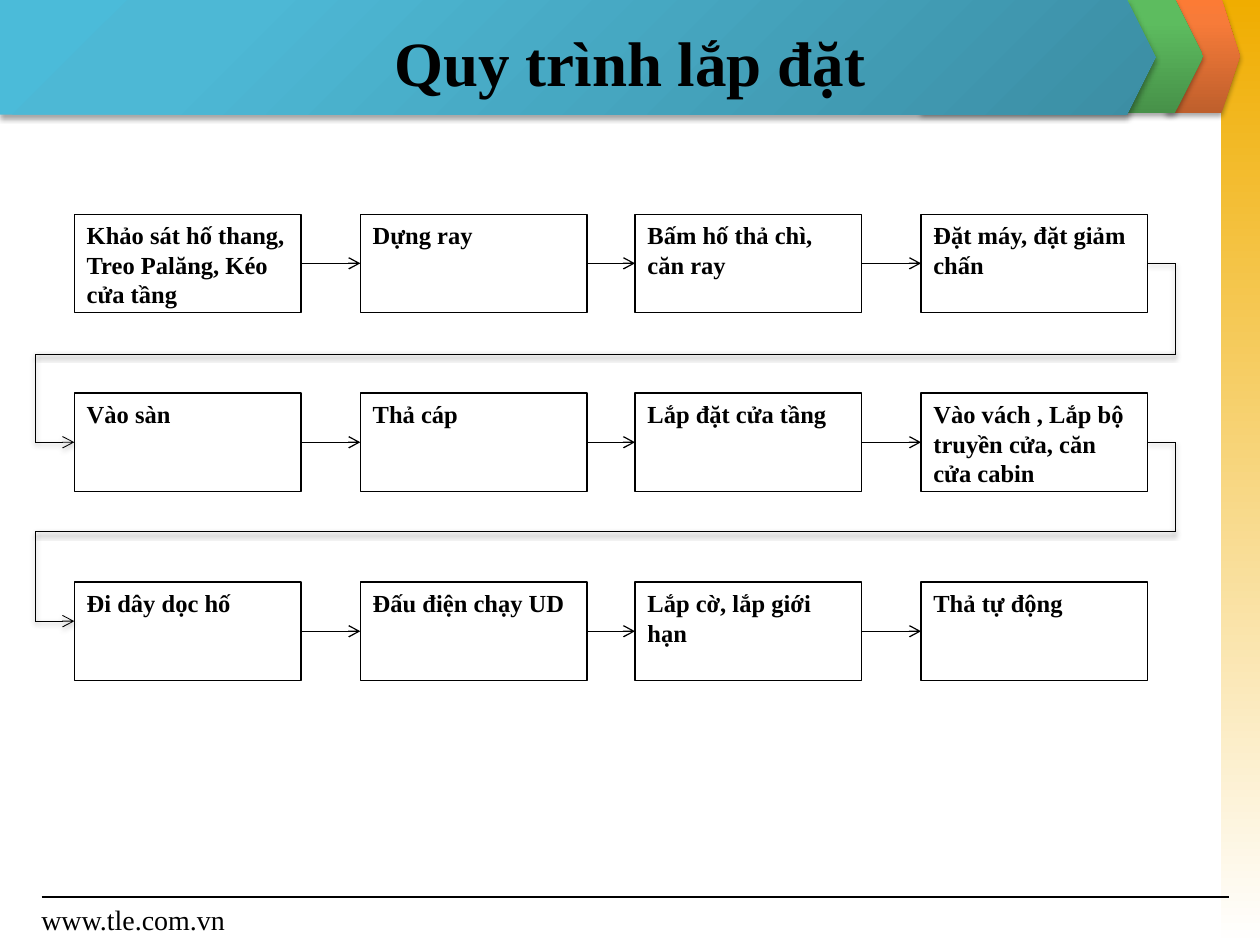
import itertools
from dataclasses import dataclass

import lxml.etree
import pptx
import pptx.dml.color
import pptx.enum.shapes
import pptx.enum.text
import pptx.oxml
import pptx.oxml.ns
import pptx.util

Inches = pptx.util.Inches
Preset = pptx.enum.shapes.MSO_SHAPE
Align = pptx.enum.text.PP_ALIGN
Anchor = pptx.enum.text.MSO_ANCHOR
qn = pptx.oxml.ns.qn


@dataclass(frozen=True)
class Theme:
    font: str = "Times New Roman"
    ink: str = "000000"
    title_size: int = 36
    footer_size: int = 16
    step_size: int = 14
    line: float = 0.75
    thin_line: float = 0.5
    gold: tuple = ((0, "F0AD00"), (100, "FFFFFF"))
    orange: tuple = ((0, "BE5F2C"), (80, "F77B39"), (100, "FC7B35"))
    green: tuple = ((0, "479149"), (80, "5DBC5F"), (100, "5BBF5E"))
    blue: tuple = ((0, "3C8EA4"), (80, "4DB8D5"), (100, "4BBBD9"))
    banner_shadow: tuple = (35, 3.1, 1.8)
    return_shadow: tuple = (38, 3.1, 1.6)


THEME = Theme()
STEPS = (
    ("Khảo sát hố thang, Treo Palăng, Kéo cửa tầng", "Dựng ray",
     "Bấm hố thả chì, căn ray", "Đặt máy, đặt giảm chấn"),
    ("Vào sàn", "Thả cáp", "Lắp đặt cửa tầng",
     "Vào vách , Lắp bộ truyền cửa, căn cửa cabin"),
    ("Đi dây dọc hố", "Đấu điện chạy UD", "Lắp cờ, lắp giới hạn", "Thả tự động"),
)
COLUMNS = (0.59, 2.86, 5.04, 7.31)
ROWS = (1.7, 3.12, 4.62)
BOX_WIDTH, BOX_HEIGHT = 1.8, 0.78
LEFT_LANE, RIGHT_LANE = 0.28, 9.33
RETURNS = ((2.81, 3.51), (4.22, 4.93))
LEFT_SIDE, RIGHT_SIDE = 1, 3


def write(frame, text, size, bold=False, align=Align.LEFT, anchor=Anchor.TOP):
    frame.word_wrap = True
    frame.vertical_anchor = anchor
    para = frame.paragraphs[0]
    para.alignment = align
    span = para.add_run()
    span.text = text
    span.font.name = THEME.font
    span.font.size = pptx.util.Pt(size)
    span.font.bold = bold
    span.font.color.rgb = pptx.dml.color.RGBColor.from_string(THEME.ink)


class Painter:
    def __init__(self, theme, page):
        self.theme = theme
        self.page = page

    def stroke(self, line, width):
        line.color.rgb = pptx.dml.color.RGBColor.from_string(self.theme.ink)
        line.width = pptx.util.Pt(width)

    def shadow(self, effects, opacity, blur, distance):
        outer = lxml.etree.SubElement(
            effects, qn("a:outerShdw"), blurRad=str(pptx.util.Pt(blur)),
            dist=str(pptx.util.Pt(distance)), dir="5400000", rotWithShape="0")
        color = lxml.etree.SubElement(outer, qn("a:srgbClr"), val=self.theme.ink)
        lxml.etree.SubElement(color, qn("a:alpha"), val=str(opacity * 1000))

    def gradient(self, shape, stops, angle):
        shape.fill.background()
        properties = shape._element.spPr
        fill = lxml.etree.Element(qn("a:gradFill"), rotWithShape="1")
        stop_list = lxml.etree.SubElement(fill, qn("a:gsLst"))
        for position, color in stops:
            stop = lxml.etree.SubElement(stop_list, qn("a:gs"), pos=str(position * 1000))
            lxml.etree.SubElement(stop, qn("a:srgbClr"), val=color)
        if angle is None:
            radial = lxml.etree.SubElement(fill, qn("a:path"), {"path": "circle"})
            lxml.etree.SubElement(radial, qn("a:fillToRect"), l="100000", t="100000")
        else:
            lxml.etree.SubElement(fill, qn("a:lin"), ang=str(angle * 60000), scaled="0")
        properties.replace(properties.find(qn("a:noFill")), fill)

    def band(self, preset, place, stops, angle=None, shadow=None):
        shape = self.page.shapes.add_shape(preset, *map(Inches, place))
        if preset == Preset.PENTAGON:
            shape.adjustments[0] = 0.25
        shape.line.fill.background()
        shape.shadow.inherit = False
        self.gradient(shape, stops, angle)
        if shadow:
            self.shadow(shape._element.spPr.find(qn("a:effectLst")), *shadow)

    def title(self, text, place):
        title = self.page.shapes.title
        title.left, title.top, title.width, title.height = map(Inches, place)
        self.page.shapes._spTree.append(title._element)
        write(title.text_frame, text, self.theme.title_size, bold=True,
              align=Align.CENTER, anchor=Anchor.MIDDLE)

    def footer(self, text, place):
        box = self.page.shapes.add_textbox(*map(Inches, place))
        box.text_frame.margin_top = Inches(0.13)
        write(box.text_frame, text, self.theme.footer_size)

    def step(self, text, left, top):
        box = self.page.shapes.add_shape(
            Preset.RECTANGLE, *map(Inches, (left, top, BOX_WIDTH, BOX_HEIGHT)))
        box.fill.background()
        box.shadow.inherit = False
        self.stroke(box.line, self.theme.line)
        write(box.text_frame, text, self.theme.step_size, bold=True)
        return box

    def line(self, start, end, width, arrow=False, shadow=None, source=None, target=None):
        link = self.page.shapes.add_connector(
            pptx.enum.shapes.MSO_CONNECTOR.STRAIGHT, *map(Inches, (*start, *end)))
        if source is not None:
            link.begin_connect(source, RIGHT_SIDE)
        if target is not None:
            link.end_connect(target, LEFT_SIDE)
        self.stroke(link.line, width)
        properties = link._element.spPr
        if arrow:
            lxml.etree.SubElement(properties.find(qn("a:ln")), qn("a:tailEnd"), type="arrow")
        effects = lxml.etree.SubElement(properties, qn("a:effectLst"))
        if shadow:
            self.shadow(effects, *shadow)

    def return_path(self, source, target, start_y, lane_y, end_y, joined):
        points = ((COLUMNS[-1] + BOX_WIDTH, start_y), (RIGHT_LANE, start_y),
                  (RIGHT_LANE, lane_y), (LEFT_LANE, lane_y),
                  (LEFT_LANE, end_y), (COLUMNS[0], end_y))
        last = len(points) - 2
        for index, (start, end) in enumerate(itertools.pairwise(points)):
            self.line(start, end, self.theme.thin_line, arrow=index == last,
                      shadow=self.theme.return_shadow,
                      source=source if index == 0 else None,
                      target=target if joined and index == last else None)


def main():
    deck = pptx.Presentation()
    deck.slide_width, deck.slide_height = Inches(10), Inches(7.5)
    page = deck.slides.add_slide(deck.slide_layouts[5])
    painter = Painter(THEME, page)

    painter.band(Preset.RECTANGLE, (9.69, 0, 0.31, 7.5), THEME.gold, 90)
    painter.band(Preset.PENTAGON, (9.25, -0.01, 0.59, 0.91), THEME.orange, 270,
                 THEME.banner_shadow)
    painter.band(Preset.PENTAGON, (7.31, -0.01, 2.24, 0.91), THEME.green, 270,
                 THEME.banner_shadow)
    painter.line((0.33, 7.12), (9.75, 7.12), THEME.line)
    painter.band(Preset.PENTAGON, (0, 0, 9.17, 0.91), THEME.blue,
                 shadow=THEME.banner_shadow)
    painter.footer("www.tle.com.vn", (0.23, 7.03, 2.33, 0.47))
    painter.title("Quy trình lắp đặt", (0.5, 0.14, 9, 0.69))

    grid = [[painter.step(text, left, top) for text, left in zip(texts, COLUMNS)]
            for texts, top in zip(STEPS, ROWS)]
    centers = [top + BOX_HEIGHT / 2 for top in ROWS]
    for boxes, center in zip(grid, centers):
        for index, (source, target) in enumerate(itertools.pairwise(boxes)):
            painter.line((COLUMNS[index] + BOX_WIDTH, center), (COLUMNS[index + 1], center),
                         THEME.line, arrow=True, source=source, target=target)
    for index, (lane_y, end_y) in enumerate(RETURNS):
        painter.return_path(grid[index][-1], grid[index + 1][0], centers[index],
                            lane_y, end_y, joined=abs(end_y - centers[index + 1]) < 0.01)

    deck.save("out.pptx")


if __name__ == "__main__":
    main()
